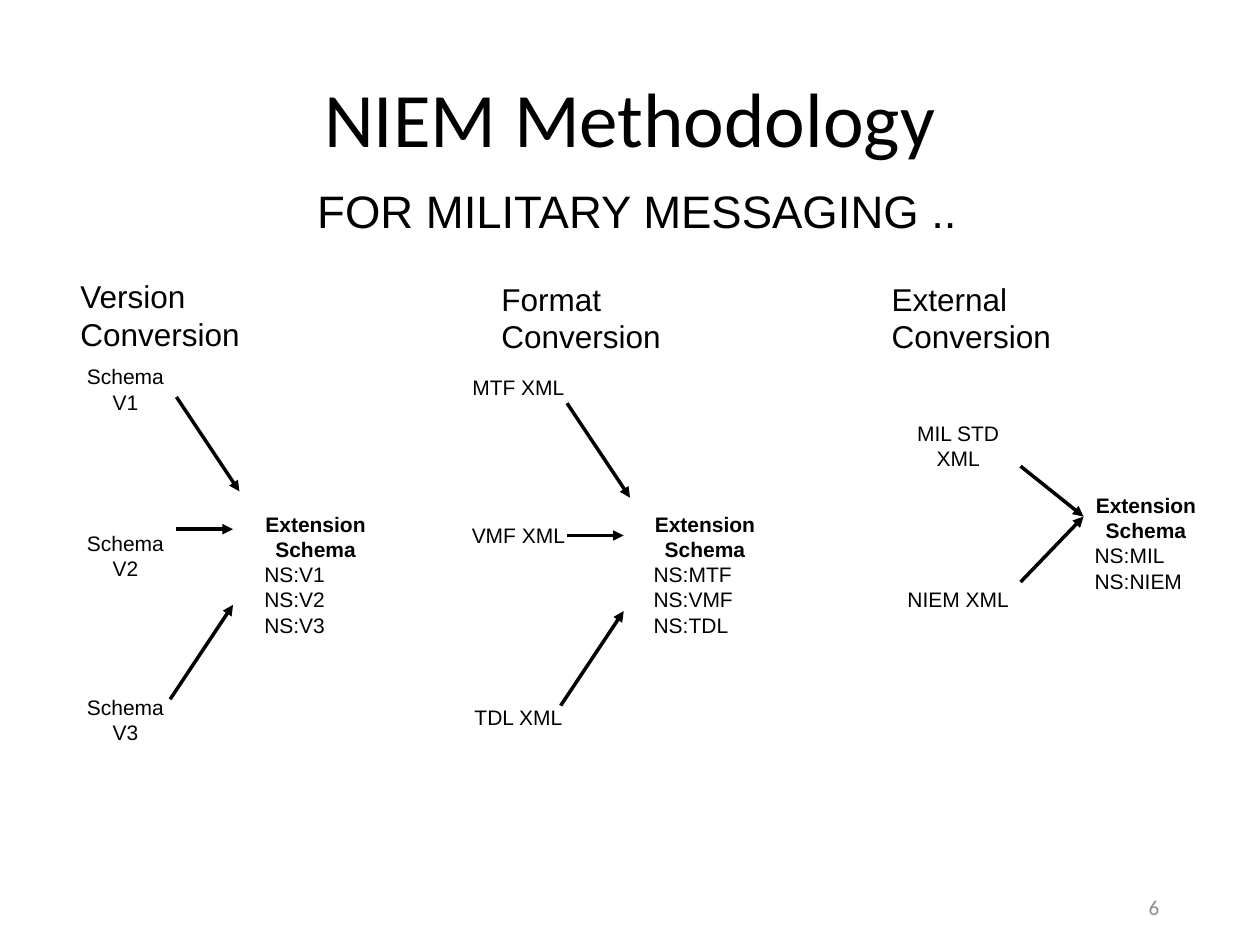
import dataclasses

import lxml.etree
import pptx
import pptx.dml.color
import pptx.enum.shapes
import pptx.enum.text
import pptx.oxml.ns
import pptx.util

Pt = pptx.util.Pt
Align = pptx.enum.text.PP_ALIGN
Anchor = pptx.enum.text.MSO_ANCHOR


@dataclasses.dataclass(frozen=True)
class Theme:
    """Colours, fonts, type sizes and insets of the slide."""
    ink: str = "000000"
    muted: str = "8B8B8B"
    display: str = "Calibri"
    body: str = "Arial"
    title: int = 44
    subtitle: int = 26
    heading: int = 18
    label: int = 12
    wide_inset: tuple = (7.2, 3.6, 7.2, 3.6)
    subtitle_inset: tuple = (7.2, 3.6, 0, 3.6)
    heading_inset: tuple = (7.2, 3.6, 12, 3.6)
    label_inset: tuple = (6.3, 2.8, 6.3, 2.8)


THEME = Theme()
LABEL_WIDTH, LABEL_HEIGHT = 71.3, 85
THREE_ARROWS = [
    (64.8, 72, 100.8, 126),
    (64.8, 147.6, 97.2, 147.6),
    (61.2, 244.8, 97.2, 190.8),
]
TWO_ARROWS = [(71.3, 110.2, 107.3, 139), (71.3, 176.4, 107.3, 139)]

COLUMNS = [
    dict(box=(36, 154.8), heading=("Version Conversion", 2.9, 0, 170),
         sources=[("Schema V1", 0, 50.4, LABEL_HEIGHT),
                  ("Schema V2", 0, 145.4, LABEL_HEIGHT),
                  ("Schema V3", 0, 239, LABEL_HEIGHT)],
         target=(108.7, 134.6), spaces=["NS:V1", "NS:V2", "NS:V3"],
         arrows=THREE_ARROWS),
    dict(box=(259.2, 158.4), heading=("Format Conversion", 20.2, -2.2, 167),
         sources=[("MTF XML", 1.4, 52.6, 26.6),
                  ("VMF XML", 1.4, 137.5, 24.5),
                  ("TDL XML", 1.4, 241.2, 21.6)],
         target=(108, 131), spaces=["NS:MTF", "NS:VMF", "NS:TDL"],
         arrows=THREE_ARROWS),
    dict(box=(511.9, 156.2), heading=("External Conversion", -9.4, 0, 175.7),
         sources=[("MIL STD XML", 0, 81.4, LABEL_HEIGHT),
                  ("NIEM XML", 0, 176.4, LABEL_HEIGHT)],
         target=(107.3, 122.4), spaces=["NS:MIL", "NS:NIEM"],
         arrows=TWO_ARROWS),
]


def set_values(item, values):
    """Set each attribute named in a dict of format values."""
    for name, value in values.items():
        setattr(item, name, value)


def add_text(page, box, lines, size, font=THEME.body, color=THEME.ink,
             inset=THEME.wide_inset, anchor=Anchor.TOP):
    """Place a text box holding (text, alignment, bold) lines."""
    frame = page.shapes.add_textbox(*map(Pt, box)).text_frame
    left, top, right, bottom = map(Pt, inset)
    set_values(frame, dict(word_wrap=True, vertical_anchor=anchor,
                           margin_left=left, margin_top=top,
                           margin_right=right, margin_bottom=bottom))
    for index, (text, alignment, bold) in enumerate(lines):
        para = frame.add_paragraph() if index else frame.paragraphs[0]
        para.alignment = alignment
        span = para.add_run()
        span.text = text
        set_values(span.font, dict(size=Pt(size), name=font, bold=bold))
        span.font.color.rgb = pptx.dml.color.RGBColor.from_string(color)


def add_arrow(page, start_x, start_y, end_x, end_y):
    """Draw a line of the default hair width with a triangle at its end."""
    arrow = page.shapes.add_connector(
        pptx.enum.shapes.MSO_CONNECTOR.STRAIGHT,
        *map(Pt, (start_x, start_y, end_x, end_y)))
    arrow.line.color.rgb = pptx.dml.color.RGBColor.from_string(THEME.ink)
    qualify = pptx.oxml.ns.qn
    lxml.etree.SubElement(arrow.line._get_or_add_ln(), qualify("a:tailEnd"),
                          type="triangle")
    lxml.etree.SubElement(arrow._element.spPr, qualify("a:effectLst"))


def add_header(page, box):
    """Place the title and the subtitle below it."""
    left, top, width, height = box
    add_text(page, (left, top, width, 90),
             [("NIEM Methodology", Align.CENTER, False)],
             THEME.title, THEME.display, anchor=Anchor.MIDDLE)
    add_text(page, (left + 138.2, top + 79.2, 380.2, height - 79.2),
             [("FOR MILITARY MESSAGING ..", Align.LEFT, False)],
             THEME.subtitle, inset=THEME.subtitle_inset)


def add_column(page, box, heading, sources, target, spaces, arrows):
    """Place a conversion: heading, sources, arrows and extension schema."""
    left, top = box
    text, shift, drop, width = heading
    add_text(page, (left + shift, top + drop, width, 27.4),
             [(text, Align.LEFT, False)], THEME.heading,
             inset=THEME.heading_inset)
    for text, shift, drop, height in sources:
        add_text(page, (left + shift, top + drop, LABEL_WIDTH, height),
                 [(text, Align.CENTER, False)], THEME.label,
                 inset=THEME.label_inset)
    lines = [("Extension Schema", Align.CENTER, True)]
    lines += [(space, Align.LEFT, False) for space in spaces]
    add_text(page,
             (left + target[0], top + target[1], LABEL_WIDTH, LABEL_HEIGHT),
             lines, THEME.label, inset=THEME.label_inset)
    for start_x, start_y, end_x, end_y in arrows:
        add_arrow(page, left + start_x, top + start_y,
                  left + end_x, top + end_y)


def add_footer(page, box):
    """Place the page number at the right of its box."""
    add_text(page, box, [("6", Align.RIGHT, False)], THEME.label,
             THEME.display, THEME.muted, anchor=Anchor.MIDDLE)


def main():
    """Build the slide and save the deck."""
    deck = pptx.Presentation()
    set_values(deck, dict(slide_width=Pt(720), slide_height=Pt(540)))
    page = deck.slides.add_slide(deck.slide_layouts[6])
    add_header(page, (36, 21.6, 648, 115.2))
    for column in COLUMNS:
        add_column(page, **column)
    add_footer(page, (501.8, 504, 167.8, 28.8))
    deck.save("out.pptx")


if __name__ == "__main__":
    main()
